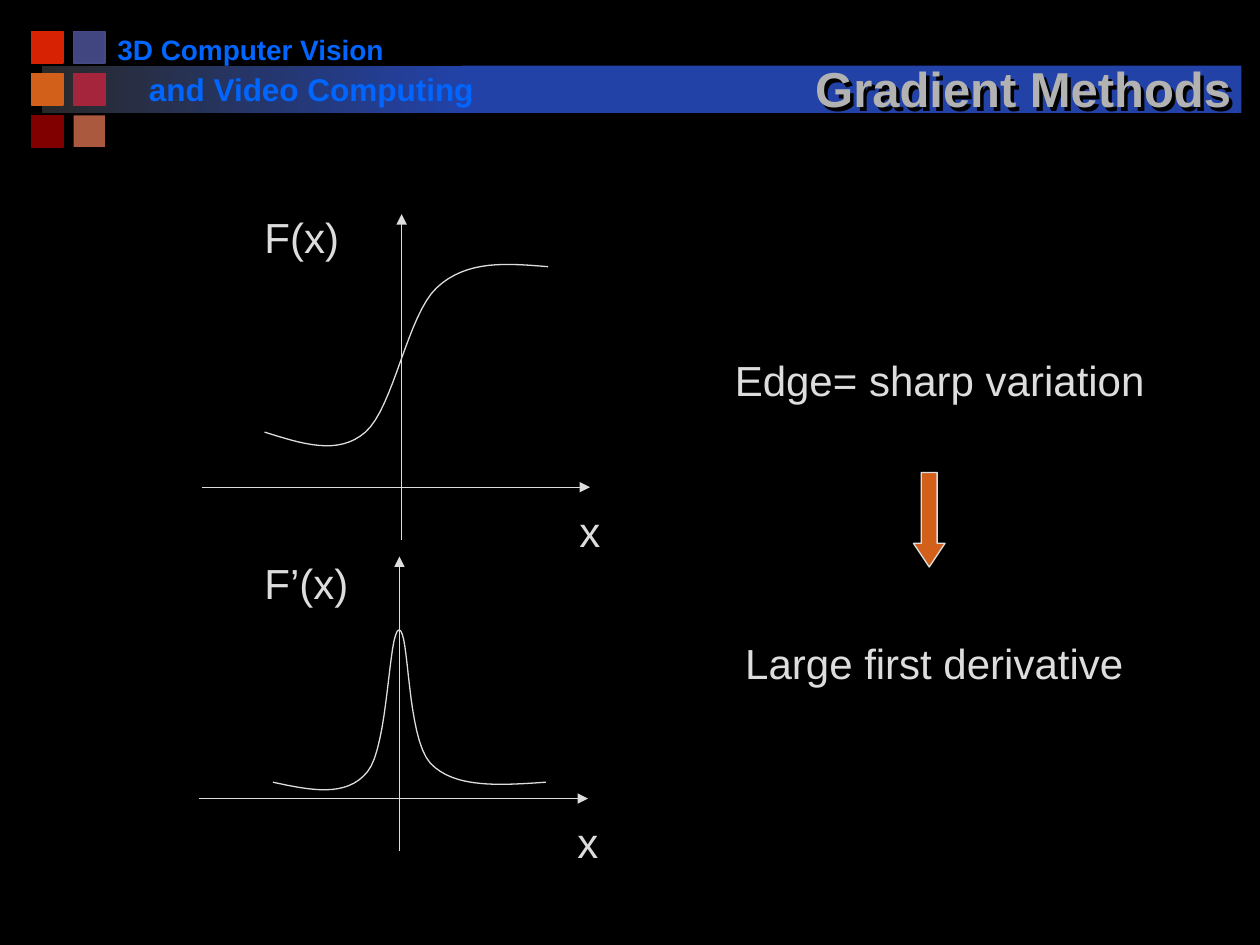
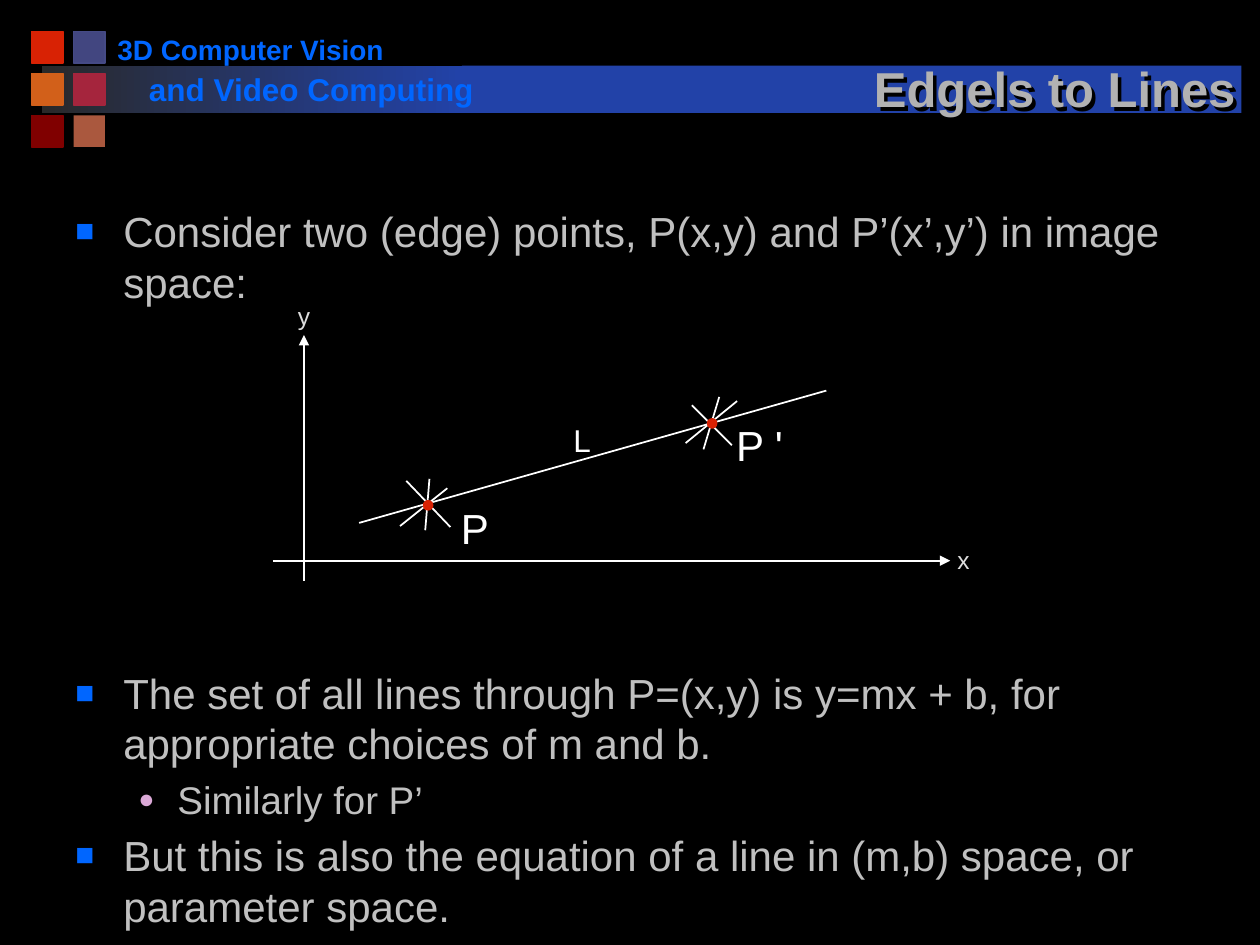
"""Build two computer vision slides: gradient methods and edgels to lines."""
from dataclasses import dataclass

from lxml import etree
from pptx import Presentation
from pptx.dml.color import RGBColor
from pptx.enum.shapes import MSO_CONNECTOR, MSO_SHAPE
from pptx.enum.text import MSO_ANCHOR, PP_ALIGN
from pptx.oxml.ns import qn
from pptx.util import Inches, Pt

STRAIGHT = MSO_CONNECTOR.STRAIGHT
RECTANGLE, OVAL, DOWN_ARROW = MSO_SHAPE.RECTANGLE, MSO_SHAPE.OVAL, MSO_SHAPE.DOWN_ARROW
LEFT, CENTER = PP_ALIGN.LEFT, PP_ALIGN.CENTER
TOP, BOTTOM = MSO_ANCHOR.TOP, MSO_ANCHOR.BOTTOM


@dataclass(frozen=True)
class Theme:
    font: str = "Arial"
    black: str = "000000"
    white: str = "FFFFFF"
    band: str = "2242A8"
    band_start: str = "292929"
    course: str = "0066FF"
    title: str = "B2B2B2"
    body: str = "C0C0C0"
    label: str = "DDDDDD"
    red: str = "D82204"
    orange: str = "D2601A"
    sub_bullet: str = "DBA9D7"
    title_size: int = 28
    body_size: int = 24
    sub_size: int = 22
    course_size: int = 16
    medium_size: int = 18
    small_size: int = 14
    thin: float = 0.75
    line: float = 1


theme = Theme()
rgb = RGBColor.from_string
presentation = Presentation()
presentation.slide_width = Inches(10)
presentation.slide_height = Inches(7.5)
COLUMNS = 120
UNIT = presentation.slide_width // COLUMNS


def add_shape(slide, kind, box, fill, line=None, width=theme.line):
    """Add a flat preset shape on the grid."""
    shape = slide.shapes.add_shape(kind, *[round(value * UNIT) for value in box])
    shape.shadow.inherit = False
    shape.fill.solid()
    shape.fill.fore_color.rgb = rgb(fill)
    if line:
        shape.line.color.rgb = rgb(line)
        shape.line.width = Pt(width)
    else:
        shape.line.fill.background()
    return shape


def add_text(slide, text, box, size, color, bold=False, align=LEFT, anchor=TOP, inset=True):
    """Add a one-line text box on the grid."""
    shape = slide.shapes.add_textbox(*[round(value * UNIT) for value in box])
    frame = shape.text_frame
    frame.word_wrap = False
    frame.vertical_anchor = anchor
    if not inset:
        frame.margin_left = frame.margin_right = frame.margin_top = frame.margin_bottom = 0
    paragraph = frame.paragraphs[0]
    paragraph.text = text
    paragraph.alignment = align
    paragraph.font.name = theme.font
    paragraph.font.size = Pt(size)
    paragraph.font.bold = bold
    paragraph.font.color.rgb = rgb(color)
    return shape


SQUARES = [
    ("D82204", "D82204"), ("424680", "454A85"),
    ("D2601A", "D2601A"), ("A5253D", "A5253D"),
    ("800000", "800000"), ("AA583E", None),
]
slides = []
for title, left, width in [("Gradient Methods", 74.9, 45.1), ("Edgels to Lines", 81.9, 37.1)]:
    slide = presentation.slides.add_slide(presentation.slide_layouts[6])
    slide.background.fill.solid()
    slide.background.fill.fore_color.rgb = rgb(theme.black)

    fade = add_shape(slide, RECTANGLE, (4, 6.25, 40, 4.5), theme.band)
    fade.fill.gradient()
    fade.fill.gradient_angle = 0
    for stop, color in zip(fade.fill.gradient_stops, (theme.band_start, theme.band)):
        stop.color.rgb = rgb(color)
    for index, (fill, line) in enumerate(SQUARES):
        row, column = divmod(index, 2)
        add_shape(slide, RECTANGLE, (3 + 4 * column, 3 + 4 * row, 3, 3), fill, line)
    add_shape(slide, RECTANGLE, (44, 6.25, 74.25, 4.5), theme.band)

    add_text(slide, "3D Computer Vision", (10, 2.5, 27.8, 4.4),
             theme.course_size, theme.course, bold=True)
    add_text(slide, "and Video Computing", (13, 6.1, 34, 4.8),
             theme.medium_size, theme.course, bold=True)
    heading = add_text(slide, title, (left, 3.8, width, 8), theme.title_size, theme.title,
                       bold=True, align=CENTER, anchor=BOTTOM)
    heading.fill.background()
    effects = etree.SubElement(heading._element.spPr, qn("a:effectLst"))
    shadow = etree.SubElement(effects, qn("a:outerShdw"), blurRad="0", dist="35921",
                              dir="2700000", algn="ctr", rotWithShape="0")
    etree.SubElement(shadow, qn("a:srgbClr"), val=theme.black)
    slides.append(slide)

gradient_slide, edgel_slide = slides

BULLETS = [
    ("Consider two (edge) points, P(x,y) and P’(x’,y’) in image space:", 0, 0),
    ("The set of all lines through P=(x,y) is y=mx + b, for appropriate choices of m and b.", 0, 206),
    ("Similarly for P’", 1, 4.5),
    ("But this is also the equation of a line in (m,b) space, or parameter space.", 0, 4.5),
]
LEVELS = [
    (0.38, 0.38, theme.course, 75, "■", theme.body_size),
    (0.81, 0.31, theme.sub_bullet, 70, "●", theme.sub_size),
]
body = edgel_slide.shapes.add_textbox(6 * UNIT, 19 * UNIT, 106 * UNIT, 70 * UNIT)
body.text_frame.word_wrap = True
for index, (text, level, space) in enumerate(BULLETS):
    margin, hanging, bullet_color, bullet_size, mark, size = LEVELS[level]
    paragraph = body.text_frame.add_paragraph() if index else body.text_frame.paragraphs[0]
    paragraph.text = text
    paragraph.level = level
    properties = paragraph._p.get_or_add_pPr()
    properties.set("marL", str(Inches(margin)))
    properties.set("indent", str(-Inches(hanging)))
    bullet = etree.SubElement(properties, qn("a:buClr"))
    etree.SubElement(bullet, qn("a:srgbClr"), val=bullet_color)
    etree.SubElement(properties, qn("a:buSzPct"), val=str(bullet_size * 1000))
    etree.SubElement(properties, qn("a:buFont"), typeface=theme.font)
    etree.SubElement(properties, qn("a:buChar"), char=mark)
    paragraph.space_before = Pt(space)
    paragraph.font.name = theme.font
    paragraph.font.size = Pt(size)
    paragraph.font.color.rgb = rgb(theme.body)

PLOT_AXES = [
    (19.2, 46.4, 56.2, 46.4), (38.25, 51.4, 38.25, 20.4),
    (19, 76.05, 56, 76.05), (38.05, 81, 38.05, 53),
]
IMAGE_AXES = [(28.95, 55.3, 28.95, 31.9), (26, 53.4, 90.5, 53.4)]
EDGE_LINES = [
    (34.2, 49.8, 78.7, 37.2),
    (40.5, 50.5, 40.9, 45.6), (38.7, 45.8, 42.9, 50.2), (38.1, 50.1, 42.6, 46.5),
    (65.9, 38.6, 69.7, 42.4), (68.5, 37.8, 67, 42.8), (70.2, 38.2, 65.3, 42.2),
]
for slide, segments, color, width, arrow in [
    (gradient_slide, PLOT_AXES, theme.label, theme.thin, True),
    (edgel_slide, IMAGE_AXES, theme.white, theme.line, True),
    (edgel_slide, EDGE_LINES, theme.white, theme.line, False),
]:
    for segment in segments:
        connector = slide.shapes.add_connector(STRAIGHT, *[round(value * UNIT) for value in segment])
        connector.line.color.rgb = rgb(color)
        connector.line.width = Pt(width)
        if arrow:
            etree.SubElement(connector.line._get_or_add_ln(), qn("a:tailEnd"), type="triangle")
        etree.SubElement(connector._element.spPr, qn("a:effectLst"))

STEP_CURVE = [
    (25.2, 41.16), (28.7, 42.24), (32.2, 43.44), (34.8, 41.16), (37.5, 38.8),
    (38.8, 30), (41.6, 27.4), (44.5, 24.7), (48.4, 25.1), (52.2, 25.4),
]
PEAK_CURVE = [
    (26, 74.5), (29.5, 75.25), (33, 76), (35, 73.5), (37, 71.1), (37, 60.1), (38, 60),
    (39, 59.9), (38.7, 70.2), (41, 72.7), (43.3, 75.1), (47.6, 74.8), (52, 74.5),
]
CURVE_STEPS = 16
for controls in (STEP_CURVE, PEAK_CURVE):
    points = [controls[0]]
    for first in range(0, len(controls) - 1, 3):
        for step in range(1, CURVE_STEPS + 1):
            t = step / CURVE_STEPS
            weights = ((1 - t) ** 3, 3 * t * (1 - t) ** 2, 3 * t ** 2 * (1 - t), t ** 3)
            points.append([sum(weight * point[axis] for weight, point
                               in zip(weights, controls[first:first + 4])) for axis in (0, 1)])
    points = [(x * UNIT, y * UNIT) for x, y in points]
    builder = gradient_slide.shapes.build_freeform(*points[0])
    builder.add_line_segments(points[1:], close=False)
    curve = builder.convert_to_shape()
    curve.shadow.inherit = False
    curve.fill.background()
    curve.line.color.rgb = rgb(theme.label)
    curve.line.width = Pt(theme.thin)

for text, left, top, width in [
    ("F(x)", 24, 19.6, 9.5), ("x", 54, 47.6, 4.4),
    ("F’(x)", 24, 52.5, 10.4), ("x", 53.8, 77.2, 4.4),
    ("Edge= sharp variation", 68.8, 33.2, 41.5),
    ("Large first derivative", 69.8, 60.1, 38.4),
]:
    add_text(gradient_slide, text, (left, top, width, 6), theme.body_size, theme.label)
arrow = add_shape(gradient_slide, DOWN_ARROW, (87, 45, 3, 9), theme.orange, theme.label, theme.thin)
arrow.adjustments[0] = 0.5
arrow.adjustments[1] = 0.75

for left, top in [(40.35, 47.7), (67.4, 39.9)]:
    add_shape(edgel_slide, OVAL, (left, top, 0.85, 0.85), theme.red, theme.red)
for text, box, size in [
    ("P", (43.9, 47.9, 2.7, 4.8), theme.body_size),
    ("P '", (70.1, 40, 4.5, 4.8), theme.body_size),
    ("L", (54.6, 40.1, 1.7, 3.6), theme.medium_size),
]:
    add_text(edgel_slide, text, box, size, theme.white, inset=False)
for text, left, top in [("x", 90, 51.3), ("y", 27.2, 28.1)]:
    add_text(edgel_slide, text, (left, top, 3.6, 4), theme.small_size, theme.label)

presentation.save("out.pptx")
